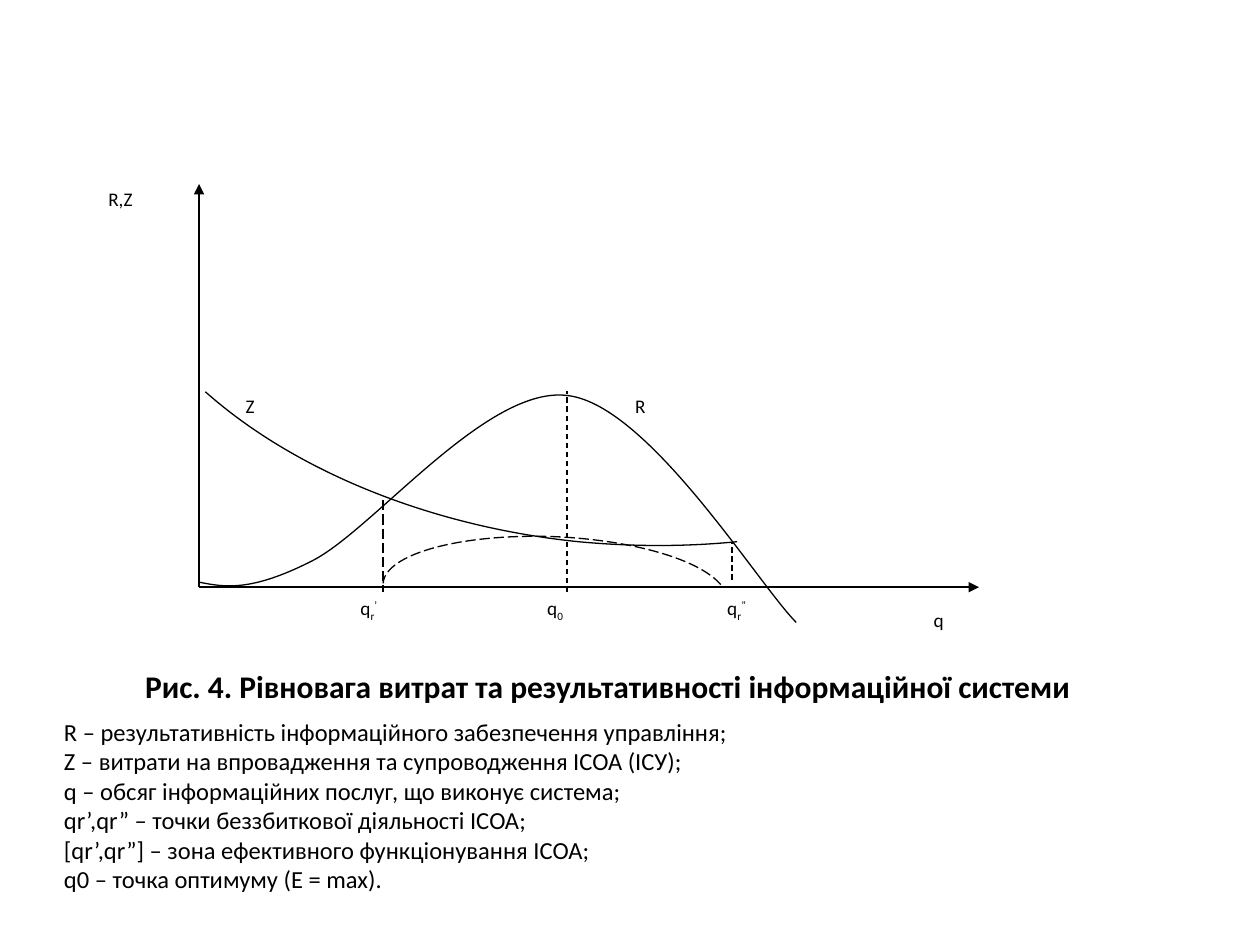
from dataclasses import dataclass
from typing import Optional

from lxml import etree
from pptx import Presentation
from pptx.dml.color import RGBColor
from pptx.enum import dml, shapes, text
from pptx.oxml.ns import qn
from pptx.util import Inches, Pt

COLORS = {"ink": "000000", "paper": "FFFFFF"}
FONT = "Calibri"
LINE_WIDTH = Pt(0.75)
LONG_DASH = dml.MSO_LINE.LONG_DASH
DASH = dml.MSO_LINE.DASH
LEFT, CENTER, RIGHT = text.PP_ALIGN.LEFT, text.PP_ALIGN.CENTER, text.PP_ALIGN.RIGHT
BASELINES = (0, -25000, 30000)  # normal, subscript, superscript


@dataclass
class Segment:
    start: tuple[float, float]
    end: tuple[float, float]
    dash: Optional[dml.MSO_LINE] = None
    arrow: bool = False


@dataclass
class Curve:
    """Bezier curve: a start point, then three points for each piece."""
    points: list[tuple[float, float]]
    dash: Optional[dml.MSO_LINE] = None


@dataclass
class Label:
    symbols: tuple[str, ...]  # base, subscript, superscript
    box: tuple[float, float, float, float]
    align: text.PP_ALIGN = LEFT
    filled: bool = False
    right_inset: float = 0


ORIGIN = (1.58, 4.66)
SEGMENTS = [
    Segment(ORIGIN, (7.77, 4.66), arrow=True),
    Segment(ORIGIN, (1.58, 1.46), arrow=True),
    Segment((3.04, 3.97), (3.04, 4.7), LONG_DASH),
    Segment((5.81, 4.6), (5.81, 4.31), DASH),
    Segment((4.5, 4.7), (4.5, 3.1), DASH),
]
CURVES = [
    Curve([(5.85, 4.3), (5.44, 4.34), (5.02, 4.34), (4.59, 4.3),
           (3.42, 4.18), (2.34, 3.74), (1.63, 3.11)]),
    Curve([(5.72, 4.64), (5.55, 4.44), (5.03, 4.29), (4.42, 4.26),
           (3.68, 4.23), (3.06, 4.39), (3.04, 4.63)], LONG_DASH),
    Curve([(1.58, 4.62), (1.78, 4.66), (1.99, 4.7), (2.48, 4.45),
           (2.97, 4.2), (3.87, 3.05), (4.51, 3.14),
           (5.15, 3.22), (6.02, 4.64), (6.32, 4.94)]),
]
LABELS = [
    Label(("q",), (7.41, 4.8, 0.55, 0.29), filled=True),
    Label(("R,Z",), (0.86, 1.46, 0.73, 0.44)),
    Label(("q", "r", "’"), (2.86, 4.7, 0.55, 0.44)),
    Label(("R",), (5.04, 3.1, 0.55, 0.29)),
    Label(("Z",), (1.95, 3.1, 0.36, 0.44)),
    Label(("q", "r", "”"), (5.41, 4.7, 0.55, 0.44), RIGHT, right_inset=0.04),
    Label(("q", "0"), (4.13, 4.7, 0.55, 0.29), CENTER, filled=True),
]
CAPTION = "Рис. 4. Рівновага витрат та результативності інформаційної системи"
LEGEND = [
    "R – результативність інформаційного забезпечення управління;",
    "Z – витрати на впровадження та супроводження ІСОА (ІСУ);",
    "q – обсяг інформаційних послуг, що виконує система;",
    "qr’,qr” – точки беззбиткової діяльності ІСОА;",
    "[qr’,qr”] – зона ефективного функціонування ІСОА;",
    "q0 – точка оптимуму (Е = max).",
]


def color(name: str) -> RGBColor:
    return RGBColor.from_string(COLORS[name])


def style_font(font, size: float, bold: bool = False) -> None:
    font.name, font.size, font.bold = FONT, Pt(size), bold
    font.color.rgb = color("ink")


def style_line(line, dash: Optional[dml.MSO_LINE]) -> None:
    line.color.rgb = color("ink")
    line.width = LINE_WIDTH
    if dash is not None:
        line.dash_style = dash


def draw_segment(slide, segment: Segment) -> None:
    ends = [Inches(value) for value in segment.start + segment.end]
    connector = slide.shapes.add_connector(shapes.MSO_CONNECTOR.STRAIGHT, *ends)
    style_line(connector.line, segment.dash)
    properties = connector._element.spPr
    if segment.arrow:
        etree.SubElement(properties.find(qn("a:ln")), qn("a:tailEnd"), type="triangle")
    etree.SubElement(properties, qn("a:effectLst"))


def draw_curve(slide, curve: Curve) -> None:
    """Build the control polygon, then join each three points into one Bezier piece."""
    start, *rest = [(Inches(x), Inches(y)) for x, y in curve.points]
    builder = slide.shapes.build_freeform(*start)
    builder.add_line_segments(rest, close=False)
    shape = builder.convert_to_shape()
    outline = next(shape._element.iter(qn("a:path")))
    corners = outline.findall(qn("a:lnTo"))
    for first in range(0, len(corners), 3):
        piece = etree.SubElement(outline, qn("a:cubicBezTo"))
        for corner in corners[first:first + 3]:
            piece.append(corner[0])
            outline.remove(corner)
    shape.fill.background()
    shape.shadow.inherit = False
    style_line(shape.line, curve.dash)


def draw_label(slide, label: Label) -> None:
    box = slide.shapes.add_textbox(*map(Inches, label.box))
    if label.filled:
        box.fill.solid()
        box.fill.fore_color.rgb = color("paper")
    frame = box.text_frame
    frame.word_wrap = True
    frame.margin_left = frame.margin_top = frame.margin_bottom = 0
    frame.margin_right = Inches(label.right_inset)
    paragraph = frame.paragraphs[0]
    paragraph.alignment = label.align
    paragraph.line_spacing = 1.15
    paragraph.space_after = Pt(10)
    for symbol, baseline in zip(label.symbols, BASELINES):
        run = paragraph.add_run()
        run.text = symbol
        style_font(run.font, 11)
        if baseline:
            run._r.get_or_add_rPr().set("baseline", str(baseline))


def place_caption(slide) -> None:
    caption = slide.shapes.title
    caption.left, caption.top = Inches(0.28), Inches(5.24)
    caption.width, caption.height = Inches(9.09), Inches(0.4)
    frame = caption.text_frame
    frame.text = CAPTION
    frame.vertical_anchor = text.MSO_ANCHOR.TOP
    frame.paragraphs[0].alignment = CENTER
    style_font(frame.paragraphs[0].runs[0].font, 18, bold=True)


def add_legend(slide) -> None:
    legend = slide.shapes.add_textbox(*map(Inches, (0.41, 5.64, 8.04, 1.51)))
    frame = legend.text_frame
    frame.word_wrap = True
    frame.text = "\n".join(LEGEND)
    for paragraph in frame.paragraphs:
        style_font(paragraph.runs[0].font, 14)


def main() -> None:
    deck = Presentation()
    deck.slide_width, deck.slide_height = Inches(10), Inches(7.5)
    slide = deck.slides.add_slide(deck.slide_layouts[5])
    for label in LABELS:
        draw_label(slide, label)
    for segment in SEGMENTS:
        draw_segment(slide, segment)
    for curve in CURVES:
        draw_curve(slide, curve)
    place_caption(slide)
    add_legend(slide)
    deck.save("out.pptx")


if __name__ == "__main__":
    main()
